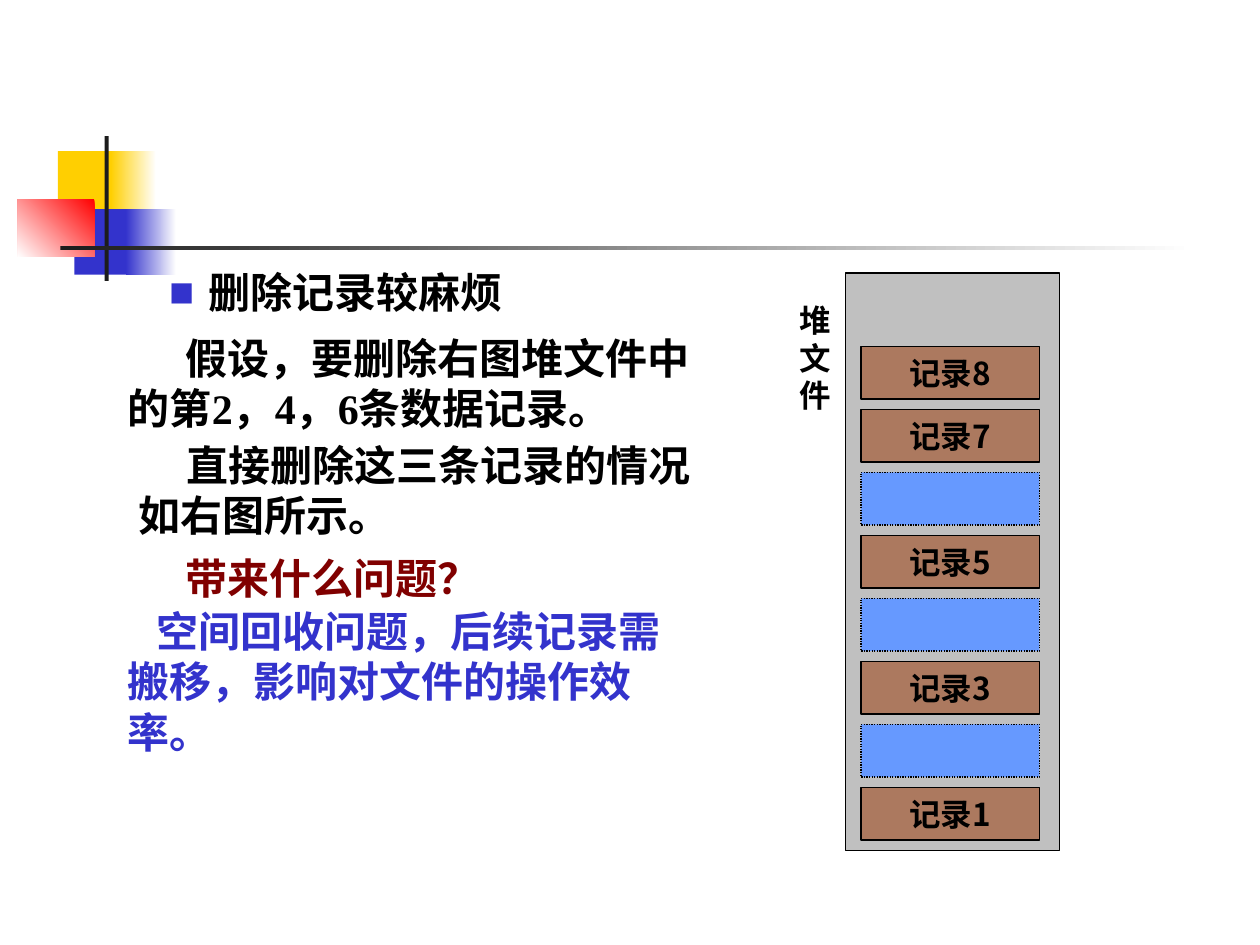
from lxml.etree import SubElement as Sub
from pptx import Presentation
from pptx.dml.color import RGBColor as Rgb
from pptx.enum.dml import MSO_LINE as Dash
from pptx.enum.shapes import MSO_SHAPE as Kind
from pptx.enum.text import MSO_ANCHOR as Anchor, PP_ALIGN as Align
from pptx.oxml.ns import qn
from pptx.util import Inches, Pt

CJK, LATIN = "Noto Sans CJK SC", "Times New Roman"
HEX = {"gold": "FFCF01", "blue": "3333CC", "red": "FF0000", "ink": "1C1C1C",
       "white": "FFFFFF", "black": "000000", "grey": "C0C0C0",
       "brown": "993300", "sky": "6699FF", "maroon": "800000"}

# The grid has 12 columns and 12 rows to the inch; boxes are left, top, width, height.
UNIT = Inches(1) / 12

# box, colour at the start, colour at the end (None when plain), angle
DECOR = [
    ((5.52, 14.4, 5.8, 6.24), "gold", None, 0),
    ((10.56, 14.4, 4.32, 6.24), "gold", "white", 0),
    ((7.08, 19.92, 5.52, 6.24), "blue", None, 0),
    ((12, 19.92, 4.8, 6.24), "blue", "white", 0),
    ((1.68, 18.96, 7.32, 5.52), "red", "white", 225),
    ((9.96, 12.96, 0.4, 13.8), "ink", None, 0),
    ((5.76, 23.4, 108, 0.4), "ink", "white", 0),
]

# box, left margin, first-line indent, bullet, font, runs
NOTES = [
    ((11, 31, 57, 15.6), 0, 0.46, "", LATIN,
     [("假设，要删除右图堆文件中的第2，4，6条数据记录。", "black")]),
    ((12, 41.2, 56, 10.8), 0, 0.38, "", LATIN,
     [("直接删除这三条记录的情况如右图所示。", "black")]),
    ((11, 52, 45, 6), 0, 0.46, "", LATIN, [("带来什么问题？", "maroon")]),
    ((15, 24.8, 60, 13.3), 0.31, -0.31, "■", CJK, [("删除记录较麻烦", "black")]),
    ((11, 57, 56, 15.6), 0, 0.23, "", CJK,
     [("空间回收问题，后续记录需搬移，影响对文件的操作效率。", "blue")]),
]

HEAP = (80.5, 26, 20.4, 55)
LABEL = ("堆文件", (75, 28.1, 5.5, 16.9))
SLOTS = ["记录8", "记录7", "", "记录5", "", "记录3", "", "记录1"]
SLOT, STEP = (82, 33, 17, 5), 6


def rgb(name):
    return Rgb.from_string(HEX[name])


def grid(box):
    return [round(n * UNIT) for n in box]


def block(box, fill, end=None, angle=0, line=None):
    """Add a rectangle, plain or fading from fill to end."""
    shape = slide.shapes.add_shape(Kind.RECTANGLE, *grid(box))
    shape.shadow.inherit = False
    if end:
        shape.fill.gradient()
        shape.fill.gradient_angle = angle
        for stop, name in zip(shape.fill.gradient_stops, (fill, end)):
            stop.color.rgb = rgb(name)
    else:
        shape.fill.solid()
        shape.fill.fore_color.rgb = rgb(fill)
    if line:
        shape.line.color.rgb = rgb(line)
        shape.line.width = Pt(0.75)
    else:
        shape.line.fill.background()
    return shape


def write(shape, runs, size, font, align=Align.LEFT, pitch=None):
    """Fill a shape with one bold paragraph and return its properties."""
    frame = shape.text_frame
    frame.word_wrap = True
    para = frame.paragraphs[0]
    para.alignment = align
    if pitch:
        para.line_spacing = Pt(pitch)
    for text, name in runs:
        run = para.add_run()
        run.text = text
        run.font.size, run.font.bold, run.font.name = Pt(size), True, font
        run.font.color.rgb = rgb(name)
        Sub(run.font._element, qn("a:ea"), typeface=CJK)
    props = para._p.get_or_add_pPr()
    props.set("hangingPunct", "0")
    return props


def mark(props, sign):
    """Put a small blue bullet before the paragraph."""
    Sub(Sub(props, qn("a:buClr")), qn("a:srgbClr"), val=HEX["blue"])
    Sub(props, qn("a:buSzPct"), val="60000")
    Sub(props, qn("a:buFont"), typeface=CJK)
    Sub(props, qn("a:buChar"), char=sign)


deck = Presentation()
deck.slide_width, deck.slide_height = Inches(10), Inches(7.5)
slide = deck.slides.add_slide(deck.slide_layouts[6])

for box, start, end, angle in DECOR:
    block(box, start, end, angle)

block(HEAP, "grey", line="black")
title, box = LABEL
write(slide.shapes.add_textbox(*grid(box)), [(title, "black")], 18, LATIN,
      Align.JUSTIFY, 21.5)

left, top, wide, high = SLOT
for row, name in enumerate(SLOTS):
    cell = block((left, top + row * STEP, wide, high),
                 "brown" if name else "sky", line="black")
    if name:
        tint = cell.fill._xPr.find(qn("a:solidFill"))[0]
        Sub(tint, qn("a:alpha"), val="50000")
        cell.text_frame.vertical_anchor = Anchor.MIDDLE
        write(cell, [(name, "black")], 18, CJK, Align.CENTER)
    else:
        cell.line.dash_style = Dash.ROUND_DOT

for box, margin, indent, sign, font, runs in NOTES:
    props = write(slide.shapes.add_textbox(*grid(box)), runs, 24, font, pitch=29)
    props.set("marL", str(Inches(margin)))
    props.set("indent", str(Inches(indent)))
    if sign:
        mark(props, sign)

deck.save("out.pptx")
